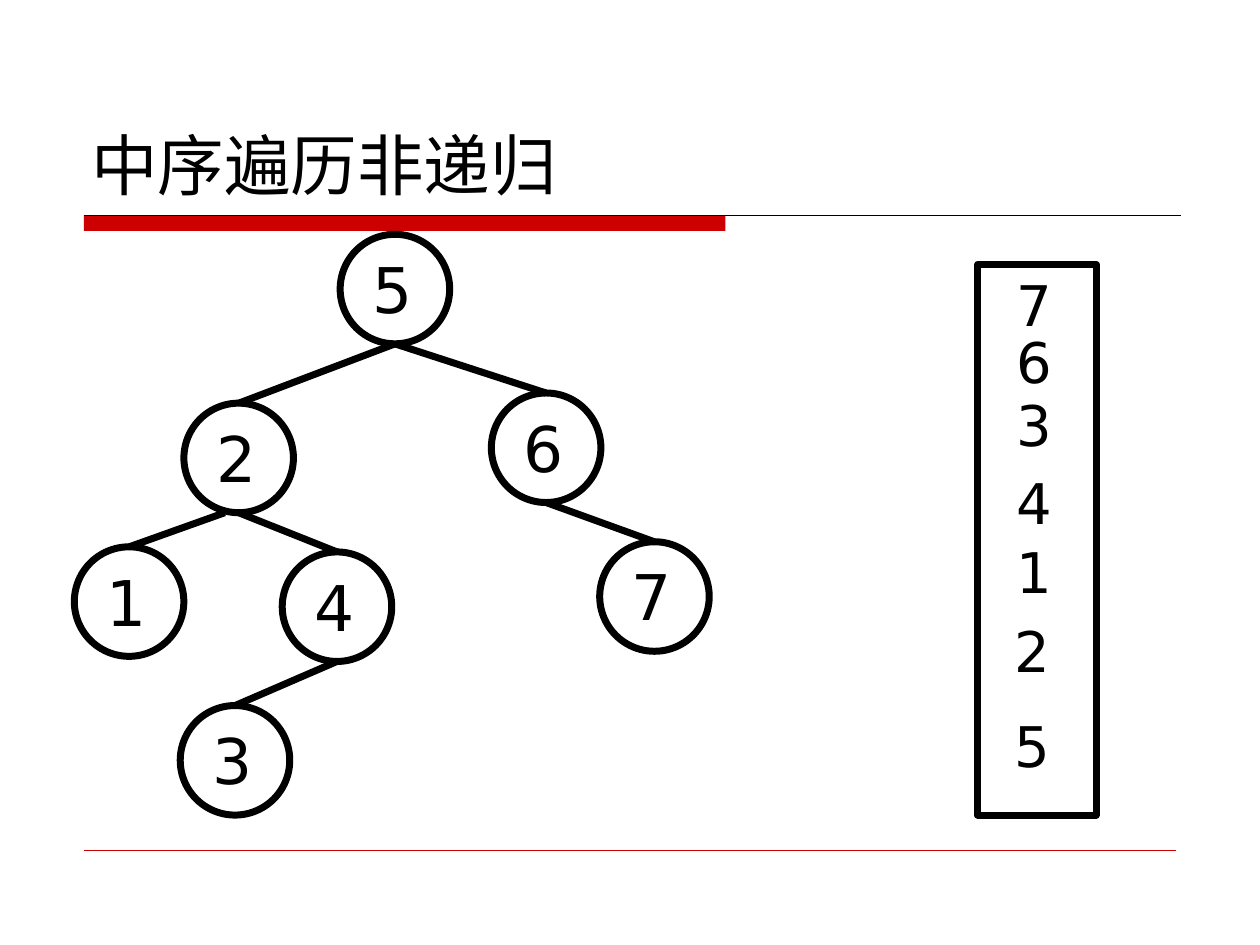
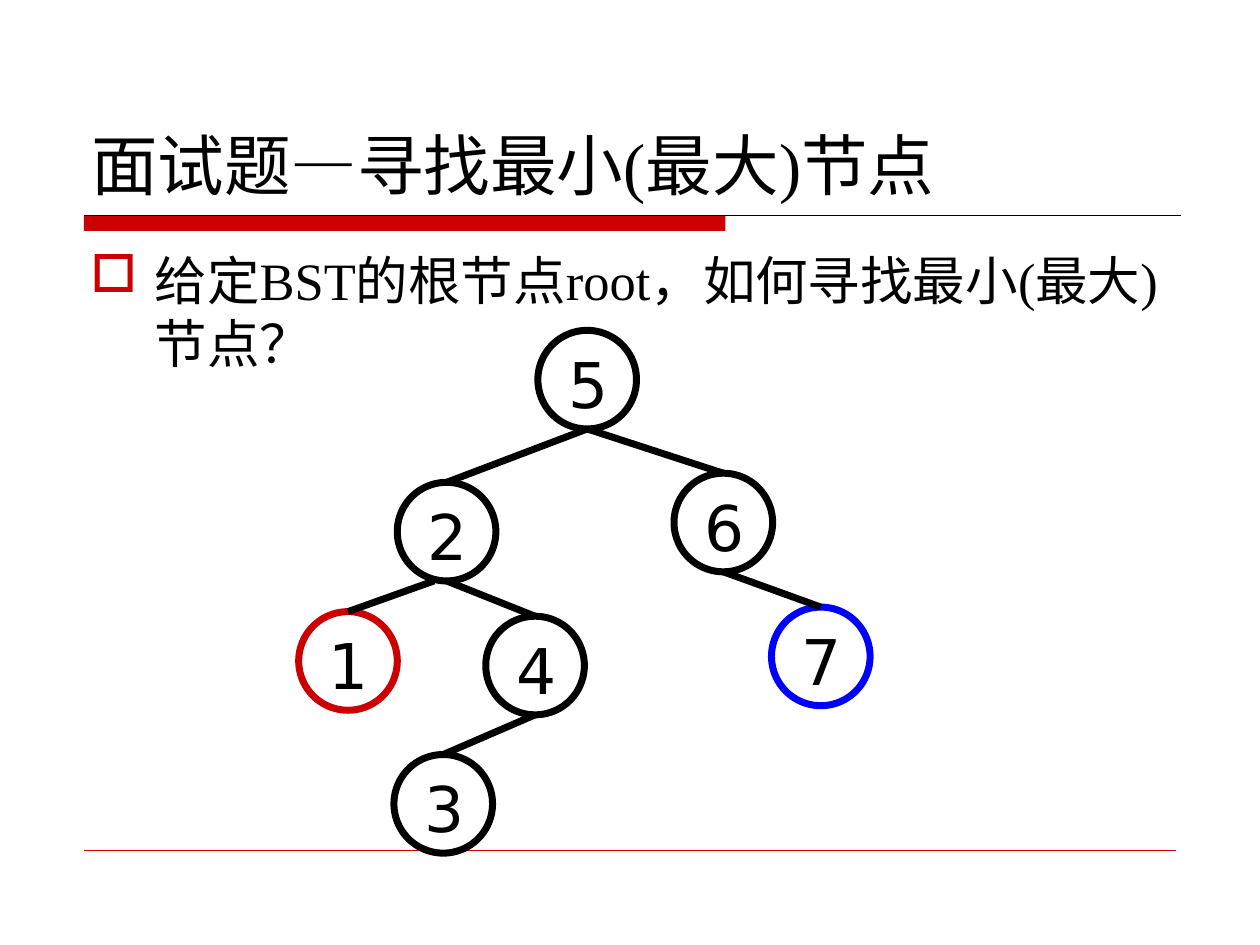
from pptx import Presentation
from pptx.dml.color import RGBColor
from pptx.enum.lang import MSO_LANGUAGE_ID
from pptx.enum.shapes import MSO_CONNECTOR, MSO_SHAPE
from pptx.enum.text import MSO_ANCHOR, MSO_AUTO_SIZE
from pptx.oxml.ns import qn
from pptx.util import Pt
from lxml.etree import SubElement

BLACK = RGBColor(0x00, 0x00, 0x00)
RED = RGBColor(0xCC, 0x00, 0x00)
BLUE = RGBColor(0x00, 0x00, 0xFF)

TEXT_FONT = "Times New Roman"
DIGIT_FONT = "DejaVu Sans"
BULLET_INDENT = 36.72

# Tree layout: offset of each node from the root, at full scale
NODE_SIZE = 62.6
NODE_OFFSETS = {
    "5": (0, 0),
    "2": (-89.3, 96.5),
    "1": (-151.9, 178.6),
    "4": (-33.1, 181.5),
    "3": (-91.4, 269.3),
    "6": (86.4, 90.7),
    "7": (148.3, 175.7),
}
# Parent, child, sideways shift of the start from the parent's bottom
EDGES = [
    ("5", "2", 0),
    ("5", "6", 0),
    ("2", "1", -8),
    ("2", "4", 0),
    ("6", "7", 0),
    ("4", "3", 0),
]
# Digit, left and top of each entry in the stack
STACK_ENTRIES = [
    ("5", 572.4, 403.2),
    ("2", 572.4, 348.5),
    ("1", 573.8, 303.8),
    ("4", 573.8, 264.2),
    ("3", 573.8, 219.6),
    ("6", 573.8, 183.6),
    ("7", 573.8, 151.2),
]


class SlideWriter:
    """Holds the deck, its style and the slide being filled; lengths are in points."""

    def __init__(self):
        self.deck = Presentation()
        self.deck.slide_width, self.deck.slide_height = Pt(720), Pt(540)
        self.page = None

    def new_page(self, title):
        self.page = self.deck.slides.add_slide(self.deck.slide_layouts[6])
        self.shape(MSO_SHAPE.RECTANGLE, 48, 123, 366.6, 9, fill=RED)
        self.line((48, 123), (675, 123), width=0.75)
        self.line((48, 486), (672, 486), color=RED, width=0.25)
        self.text(title, 45, 24, 630, 96, size=38, anchor=MSO_ANCHOR.BOTTOM,
                  language=MSO_LANGUAGE_ID.SIMPLIFIED_CHINESE)

    def shape(self, kind, left, top, width, height, fill=None, outline=None):
        shape = self.page.shapes.add_shape(
            kind, Pt(left), Pt(top), Pt(width), Pt(height))
        shape.shadow.inherit = False
        if fill is None:
            shape.fill.background()
        else:
            shape.fill.solid()
            shape.fill.fore_color.rgb = fill
        if outline is None:
            shape.line.fill.background()
        else:
            shape.line.color.rgb = outline
            shape.line.width = Pt(4)
        return shape

    def line(self, start, end, color=BLACK, width=4):
        connector = self.page.shapes.add_connector(
            MSO_CONNECTOR.STRAIGHT, *(Pt(value) for value in (*start, *end)))
        connector.line.color.rgb = color
        connector.line.width = Pt(width)
        SubElement(connector._element.spPr, qn("a:effectLst"))
        return connector

    def text(self, text, left, top, width, height, size, font=TEXT_FONT,
             anchor=MSO_ANCHOR.TOP, bullet=None, grow=False, language=None):
        box = self.page.shapes.add_textbox(
            Pt(left), Pt(top), Pt(width), Pt(height))
        frame = box.text_frame
        frame.word_wrap = True
        frame.vertical_anchor = anchor
        if grow:
            frame.auto_size = MSO_AUTO_SIZE.SHAPE_TO_FIT_TEXT
        para = frame.paragraphs[0]
        if bullet:
            self.add_bullet(para, bullet)
        span = para.add_run()
        span.text = text
        span.font.name = font
        span.font.size = Pt(size)
        span.font.color.rgb = BLACK
        if language:
            span.font.language_id = language
        return box

    def add_bullet(self, para, mark):
        """Give the paragraph a red bullet with a hanging indent."""
        properties = para._p.get_or_add_pPr()
        properties.set("marL", str(Pt(BULLET_INDENT)))
        properties.set("indent", str(-Pt(BULLET_INDENT)))
        color = SubElement(properties, qn("a:buClr"))
        SubElement(color, qn("a:srgbClr"), val=str(RED))
        SubElement(properties, qn("a:buChar"), char=mark)

    def digit(self, digit, left, top, width, height, size):
        self.text(digit, left, top, width, height, size, font=DIGIT_FONT, grow=True)

    def tree(self, root_left, root_top, scale=1, highlights=None):
        """Draw the search tree; highlights maps a node to its outline colour."""
        highlights = highlights or {}
        size = NODE_SIZE * scale
        nodes = {}
        for digit, (across, down) in NODE_OFFSETS.items():
            left = root_left + across * scale
            top = root_top + down * scale
            nodes[digit] = self.shape(MSO_SHAPE.OVAL, left, top, size, size,
                                      outline=highlights.get(digit, BLACK))
            self.digit(digit, left + 11.3 * scale, top + 5.7 * scale,
                       39.6 * scale, 51.1 * scale, size=36)
        for parent, child, shift in EDGES:
            upper, lower = nodes[parent], nodes[child]
            start = (upper.left.pt + size / 2 + shift * scale, upper.top.pt + size)
            end = (lower.left.pt + size / 2, lower.top.pt)
            self.line(start, end).end_connect(lower, 0)

    def stack(self):
        self.shape(MSO_SHAPE.RECTANGLE, 558.7, 151.2, 67.7, 314.6, outline=BLACK)
        for digit, left, top in STACK_ENTRIES:
            self.digit(digit, left, top, 39.6, 46.1, size=32)


def main():
    writer = SlideWriter()

    writer.new_page("中序遍历非递归")
    writer.tree(194.4, 133.9)
    writer.stack()

    writer.new_page("面试题—寻找最小(最大)节点")
    writer.text("给定BST的根节点root，如何寻找最小(最大)节点？",
                44.6, 138.2, 630, 336, size=30, bullet="□",
                language=MSO_LANGUAGE_ID.SIMPLIFIED_CHINESE)
    writer.tree(307.4, 188.8, scale=0.9, highlights={"1": RED, "7": BLUE})

    writer.deck.save("out.pptx")


if __name__ == "__main__":
    main()
